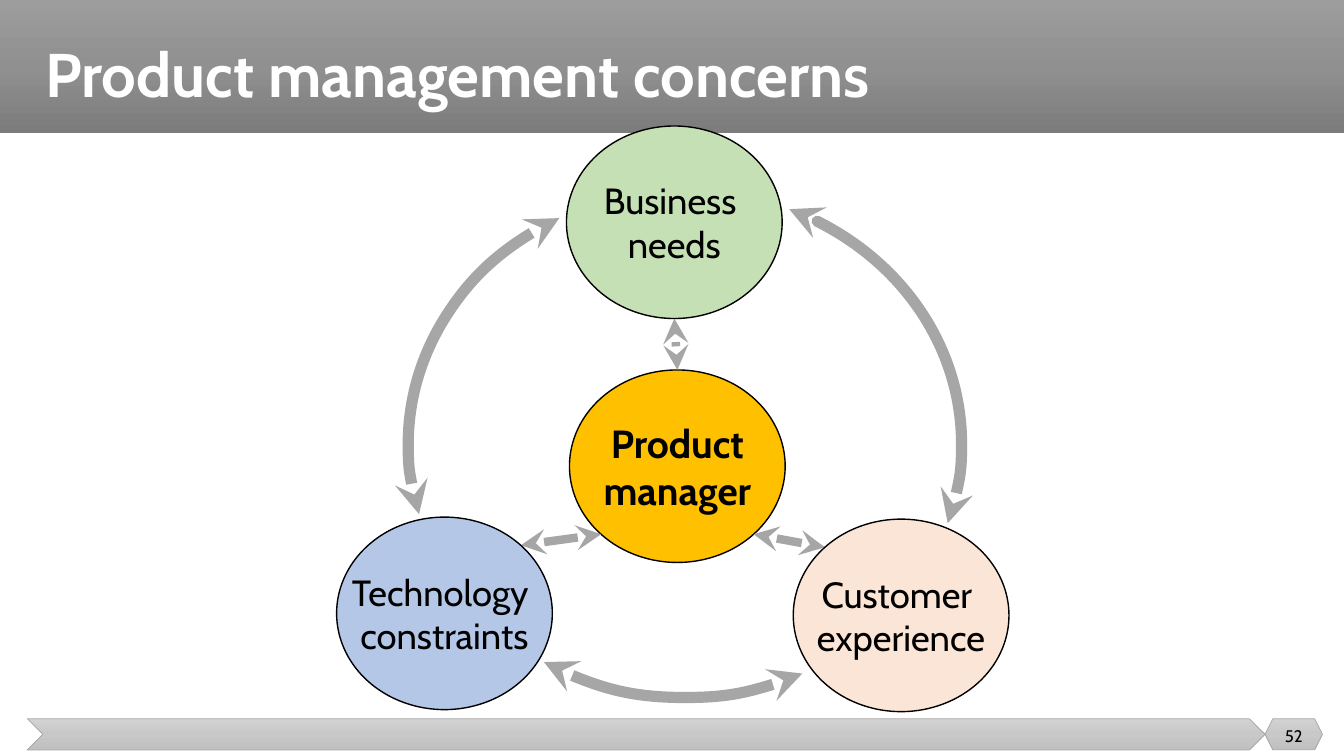
from copy import deepcopy
from dataclasses import dataclass
from math import cos, radians, sin

from pptx import Presentation
from pptx.dml.color import RGBColor
from pptx.enum.shapes import MSO_CONNECTOR as Connector, MSO_SHAPE as Preset
from pptx.enum.text import MSO_ANCHOR as Anchor, PP_ALIGN as Align
from pptx.oxml.ns import qn
from pptx.oxml.xmlchemy import OxmlElement
from pptx.util import Inches, Pt

COLUMNS, ROWS = 80, 45
SLIDE_WIDTH, SLIDE_HEIGHT = Inches(13.33), Inches(7.5)


@dataclass(frozen=True)
class Theme:
    font: str = "Cabin"
    title_size: int = 44
    manager_size: int = 28
    concern_size: int = 26
    number_size: int = 12
    ink: str = "000000"
    title_ink: str = "FFFFFF"
    header: tuple = ("9D9D9D", "909090", "7C7C7C")
    footer: tuple = ("D2D2D2", "C8C8C8", "C0C0C0")
    footer_edge: str = "A5A5A5"
    arrow: str = "A6A6A6"
    manager: str = "FFC000"
    business: str = "C5E0B4"
    technology: str = "B4C7E7"
    customer: str = "FBE5D6"


@dataclass(frozen=True)
class Box:
    left: float
    top: float
    width: float
    height: float

    def inner(self, left, top, width, height):
        return Box(self.left + left, self.top + top, width, height)

    def around(self, column, row, width, height):
        return self.inner(column - width / 2, row - height / 2, width, height)

    def emu(self):
        column, row = SLIDE_WIDTH / COLUMNS, SLIDE_HEIGHT / ROWS
        return (round(self.left * column), round(self.top * row),
                round(self.width * column), round(self.height * row))

    def rim(self, degrees):
        left, top, width, height = self.emu()
        angle = radians(degrees)
        return (round(left + width / 2 * (1 + cos(angle))),
                round(top + height / 2 * (1 + sin(angle))))


THEME = Theme()


def add_preset(slide, preset, box):
    shape = slide.shapes.add_shape(preset, *box.emu())
    shape.shadow.inherit = False
    shape.fill.background()
    shape.line.fill.background()
    return shape


def set_line(shape, color, width):
    shape.line.color.rgb = RGBColor.from_string(color)
    shape.line.width = Pt(width)


def set_gradient(shape, colors):
    shape.fill.gradient()
    shape.fill.gradient_angle = 270
    stop_list = shape._element.spPr.find(".//" + qn("a:gsLst"))
    stop_list.insert(1, deepcopy(stop_list[0]))
    for stop, position, color in zip(shape.fill.gradient_stops, (0, 0.5, 1), colors):
        stop.position = position
        stop.color.rgb = RGBColor.from_string(color)


def add_arrowheads(shape):
    line = shape._element.spPr.find(qn("a:ln"))
    for tag in ("a:headEnd", "a:tailEnd"):
        end = OxmlElement(tag)
        end.set("type", "stealth")
        line.append(end)


def write(shape, text, size, color, bold=False, align=Align.CENTER, wrap=True):
    frame = shape.text_frame
    frame.text = text
    frame.word_wrap = wrap
    frame.vertical_anchor = Anchor.MIDDLE
    paragraph = frame.paragraphs[0]
    paragraph.alignment = align
    for run in paragraph.runs:
        run.font.name = THEME.font
        run.font.size = Pt(size)
        run.font.bold = bold
        run.font.color.rgb = RGBColor.from_string(color)
    return paragraph


def add_header(slide, box, title):
    set_gradient(add_preset(slide, Preset.RECTANGLE, box), THEME.header)
    label = slide.shapes.add_textbox(*box.inner(2.1, 1.2, 54, 6.78).emu())
    paragraph = write(label, title, THEME.title_size, THEME.title_ink, True, Align.LEFT)
    paragraph.line_spacing = 0.9


def add_footer(slide, box, number):
    badge_width = 3.42
    bar_width = box.width - badge_width
    for preset, left, width in ((Preset.CHEVRON, 0, bar_width),
                                (Preset.HEXAGON, bar_width, badge_width)):
        shape = add_preset(slide, preset, box.inner(left, 0, width, box.height))
        set_gradient(shape, THEME.footer)
        set_line(shape, THEME.footer_edge, 0.5)
    label = slide.shapes.add_textbox(*box.inner(bar_width, -0.18, badge_width, 2.4).emu())
    write(label, number, THEME.number_size, THEME.ink)


def add_circle(slide, box, text, fill, size, bold=False, wrap=True):
    circle = add_preset(slide, Preset.OVAL, box)
    circle.fill.solid()
    circle.fill.fore_color.rgb = RGBColor.from_string(fill)
    set_line(circle, THEME.ink, 1)
    frame = circle.text_frame
    frame.margin_left = frame.margin_right = frame.margin_top = frame.margin_bottom = 0
    write(circle, text, size, THEME.ink, bold, wrap=wrap)


def add_link(slide, start, end):
    link = slide.shapes.add_connector(Connector.STRAIGHT, *start, *end)
    link._element.spPr.append(OxmlElement("a:effectLst"))
    set_line(link, THEME.arrow, 6)
    add_arrowheads(link)


def add_orbit_arc(slide, box, start_degrees, end_degrees):
    arc = add_preset(slide, Preset.ARC, box)
    arc.adjustments[0] = start_degrees * 0.6
    arc.adjustments[1] = end_degrees * 0.6
    set_line(arc, THEME.arrow, 8)
    add_arrowheads(arc)


def add_concerns(slide, box):
    circle_size = (12.84, 11.46)
    manager = box.around(20.32, 20.25, *circle_size)
    business = box.around(20.14, 5.73, *circle_size)
    technology = box.around(6.46, 29.01, *circle_size)
    customer = box.around(33.64, 29.13, *circle_size)
    orbit = box.inner(4.3, 3.84, 32.94, 30.18)

    add_circle(slide, manager, "Product manager", THEME.manager, THEME.manager_size, True)
    add_link(slide, manager.rim(270), business.rim(90))
    add_link(slide, customer.rim(225), manager.rim(45))
    add_link(slide, manager.rim(135), technology.rim(315))
    for start, end in ((165.21, 240.92), (62.92, 122.88), (293.96, 16.78)):
        add_orbit_arc(slide, orbit, start, end)
    for place, text, fill, wrap in (
        (business, "Business \vneeds", THEME.business, True),
        (technology, "Technology \vconstraints", THEME.technology, False),
        (customer, "Customer \vexperience", THEME.customer, False),
    ):
        add_circle(slide, place, text, fill, THEME.concern_size, wrap=wrap)


def main():
    presentation = Presentation()
    presentation.slide_width = SLIDE_WIDTH
    presentation.slide_height = SLIDE_HEIGHT
    slide = presentation.slides.add_slide(presentation.slide_layouts[6])
    add_header(slide, Box(0, 0, COLUMNS, 7.92), "Product management concerns")
    add_footer(slide, Box(1.62, 42.78, 77.1, 1.86), "52")
    add_concerns(slide, Box(20, 7.5, 40, 35))
    presentation.save("out.pptx")


if __name__ == "__main__":
    main()
